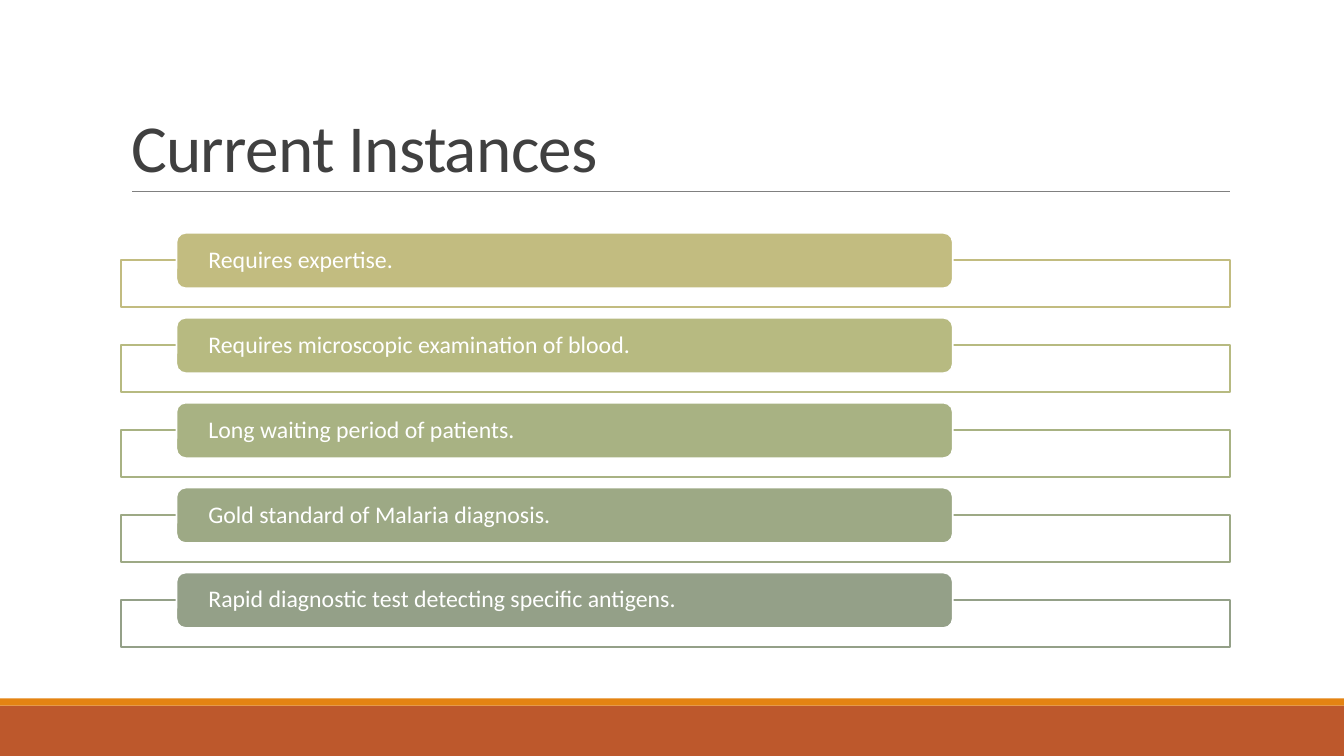
from pptx import Presentation
from pptx.dml.color import RGBColor
from pptx.enum.shapes import MSO_CONNECTOR, MSO_SHAPE
from pptx.enum.text import MSO_ANCHOR, PP_ALIGN
from pptx.oxml.ns import qn
from pptx.util import Inches, Pt
from lxml import etree

RECT, ROUND = MSO_SHAPE.RECTANGLE, MSO_SHAPE.ROUNDED_RECTANGLE
LINE = MSO_CONNECTOR.STRAIGHT
MIDDLE, BOTTOM = MSO_ANCHOR.MIDDLE, MSO_ANCHOR.BOTTOM
LEFT = PP_ALIGN.LEFT

WIDTH, HEIGHT = 13.33, 7.5
ITEMS = [
    ("Requires expertise.", "C2BC80"),
    ("Requires microscopic examination of blood.", "B7BA81"),
    ("Long waiting period of patients.", "A8B283"),
    ("Gold standard of Malaria diagnosis.", "9DA985"),
    ("Rapid diagnostic test detecting specific antigens.", "94A088"),
]


def color(value):
    return RGBColor.from_string(value)


def add_box(slide, kind, box, fill, line=None):
    shape = slide.shapes.add_shape(kind, *map(Inches, box))
    shape.shadow.inherit = False
    shape.fill.solid()
    shape.fill.fore_color.rgb = color(fill)
    if line:
        shape.line.color.rgb = color(line)
        shape.line.width = Pt(1.25)
    else:
        shape.line.fill.background()
    return shape


def set_text(frame, text, size, tint, spacing, anchor):
    """Write one left-aligned paragraph in the frame."""
    frame.text = text
    frame.word_wrap = True
    frame.vertical_anchor = anchor
    para = frame.paragraphs[0]
    para.alignment = LEFT
    para.line_spacing = spacing
    font = para.runs[0].font
    font.name = "Calibri"
    font.size = Pt(size)
    font.color.rgb = color(tint)


def add_footer(slide, box):
    left, top, width, height = box
    strip = 0.07
    add_box(slide, RECT, (left, top + strip, width, height - strip), "BD582C")
    add_box(slide, RECT, (left, top, width, strip), "E48312")


def add_title(slide, box, text):
    left, top, width, height = box
    base = Inches(top + height)
    rule = slide.shapes.add_connector(
        LINE, Inches(left + 0.11), base, Inches(left + width), base)
    rule.line.color.rgb = color("808080")
    rule.line.width = Pt(0.5)
    etree.SubElement(rule._element.spPr, qn("a:effectLst"))

    title = slide.shapes.title
    title.left, title.top, title.width, title.height = map(Inches, box)
    set_text(title.text_frame, text, 48, "404040", 0.85, BOTTOM)
    run = title.text_frame.paragraphs[0].runs[0]
    run.font._element.set("spc", "-50")


def add_list(slide, box, items):
    """Stack framed rows, each with a label tab over its top edge."""
    left, top, width, height = box
    tab, drop, frame = 0.55, 0.27, 0.47
    pitch = (height - drop - frame) / (len(items) - 1)
    for index, (text, tint) in enumerate(items):
        y = top + index * pitch
        add_box(slide, RECT, (left, y + drop, width, frame), "FFFFFF", tint)
        label = add_box(slide, ROUND, (left + width * 0.05, y, width * 0.7, tab),
                        tint, "FFFFFF")
        words = label.text_frame
        words.margin_left = words.margin_right = Inches(0.29)
        words.margin_top = words.margin_bottom = 0
        set_text(words, text, 17, "FFFFFF", 0.9, MIDDLE)


def main():
    deck = Presentation()
    deck.slide_width, deck.slide_height = Inches(WIDTH), Inches(HEIGHT)
    slide = deck.slides.add_slide(deck.slide_layouts[5])
    add_footer(slide, (0, 6.93, WIDTH, 0.57))
    add_title(slide, (1.2, 0.31, 11, 1.59), "Current Instances")
    add_list(slide, (1.2, 2.31, 11, 4.11), ITEMS)
    deck.save("out.pptx")


if __name__ == "__main__":
    main()
